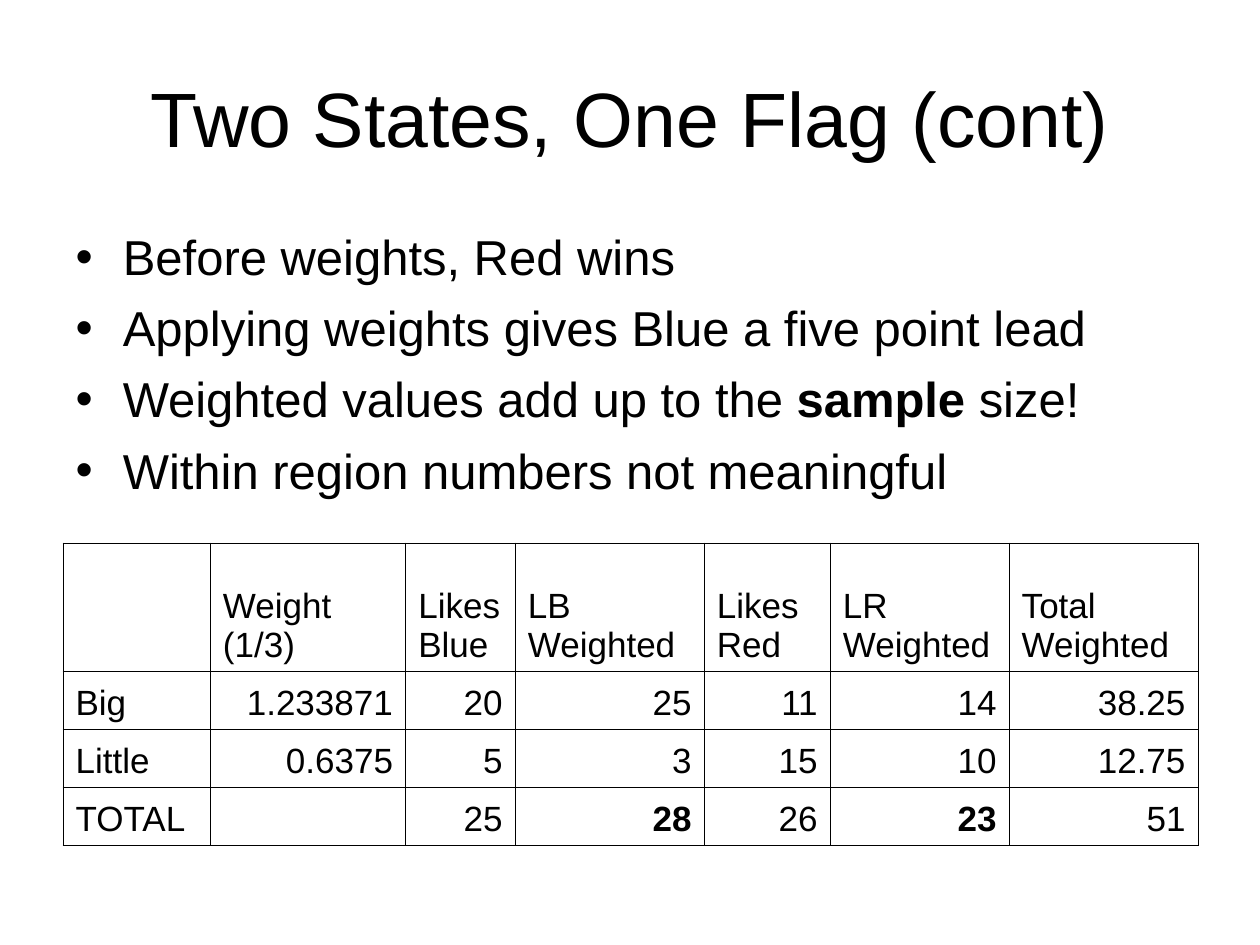
from lxml.etree import SubElement
from pptx import Presentation
from pptx.dml.color import RGBColor
from pptx.enum.text import MSO_ANCHOR, MSO_AUTO_SIZE, PP_ALIGN
from pptx.oxml.ns import qn
from pptx.util import Inches, Pt

# Content: a run is (text, bold)
TITLE = "Two States, One Flag (cont)"
BULLETS = [
    [("Before weights, Red wins", False)],
    [("Applying weights gives Blue a five point lead", False)],
    [("Weighted values add up to the ", False), ("sample", True), (" size!", False)],
    [("Within region numbers not meaningful", False)],
]
TABLE_ROWS = [
    ["", "Weight (1/3)", "Likes Blue", "LB Weighted", "Likes Red", "LR Weighted", "Total Weighted"],
    ["Big", "1.233871", "20", "25", "11", "14", "38.25"],
    ["Little", "0.6375", "5", "3", "15", "10", "12.75"],
    ["TOTAL", "", "25", "28", "26", "23", "51"],
]
BOLD_TOTALS = {"28", "23"}
COLUMN_WIDTHS = [1.17, 1.55, 0.87, 1.5, 1, 1.42, 1.5]
ROW_HEIGHTS = [1.02, 0.46, 0.46, 0.46]
LEFT, WIDTH = 0.5, 9
BLACK = "000000"


def color(hex_value):
    return RGBColor.from_string(hex_value)


def add_run(paragraph, text, size, bold=False):
    run = paragraph.add_run()
    run.text = text
    run.font.name = "Arial"
    run.font.size = Pt(size)
    run.font.bold = bold
    run.font.color.rgb = color(BLACK)


def place(shape, top, height):
    shape.left, shape.top = Inches(LEFT), Inches(top)
    shape.width, shape.height = Inches(WIDTH), Inches(height)
    shape.text_frame.auto_size = MSO_AUTO_SIZE.NONE


def add_borders(cell):
    properties = cell._tc.get_or_add_tcPr()
    for side in ("a:lnL", "a:lnR", "a:lnT", "a:lnB"):
        line = SubElement(properties, qn(side), w=str(Pt(0.45)))
        fill = SubElement(line, qn("a:solidFill"))
        SubElement(fill, qn("a:srgbClr"), val=BLACK)


presentation = Presentation()
presentation.slide_width, presentation.slide_height = Inches(10), Inches(7.5)
slide = presentation.slides.add_slide(presentation.slide_layouts[1])

# Title
title = slide.shapes.title
place(title, 0.3, 1.25)
title.text_frame.vertical_anchor = MSO_ANCHOR.MIDDLE
title_paragraph = title.text_frame.paragraphs[0]
title_paragraph.alignment = PP_ALIGN.CENTER
add_run(title_paragraph, TITLE, 44)

# Bulleted list
body = slide.placeholders[1]
place(body, 1.75, 2.39)
for index, runs in enumerate(BULLETS):
    frame = body.text_frame
    paragraph = frame.add_paragraph() if index else frame.paragraphs[0]
    paragraph.space_before = Pt(7)
    for text, bold in runs:
        add_run(paragraph, text, 28, bold)

# Table of weighted counts
table = slide.shapes.add_table(
    len(TABLE_ROWS), len(COLUMN_WIDTHS),
    Inches(LEFT), Inches(4.31), Inches(WIDTH), Inches(sum(ROW_HEIGHTS)),
).table
table.first_row = False
table.horz_banding = False
for column, width in zip(table.columns, COLUMN_WIDTHS):
    column.width = Inches(width)
for row, height in zip(table.rows, ROW_HEIGHTS):
    row.height = Inches(height)

for row_index, values in enumerate(TABLE_ROWS):
    for column_index, value in enumerate(values):
        cell = table.cell(row_index, column_index)
        add_borders(cell)
        cell.fill.background()
        cell.vertical_anchor = MSO_ANCHOR.BOTTOM
        paragraph = cell.text_frame.paragraphs[0]
        is_number = row_index > 0 and column_index > 0
        paragraph.alignment = PP_ALIGN.RIGHT if is_number else PP_ALIGN.LEFT
        if value:
            add_run(paragraph, value, 20, value in BOLD_TOTALS)

presentation.save("out.pptx")
